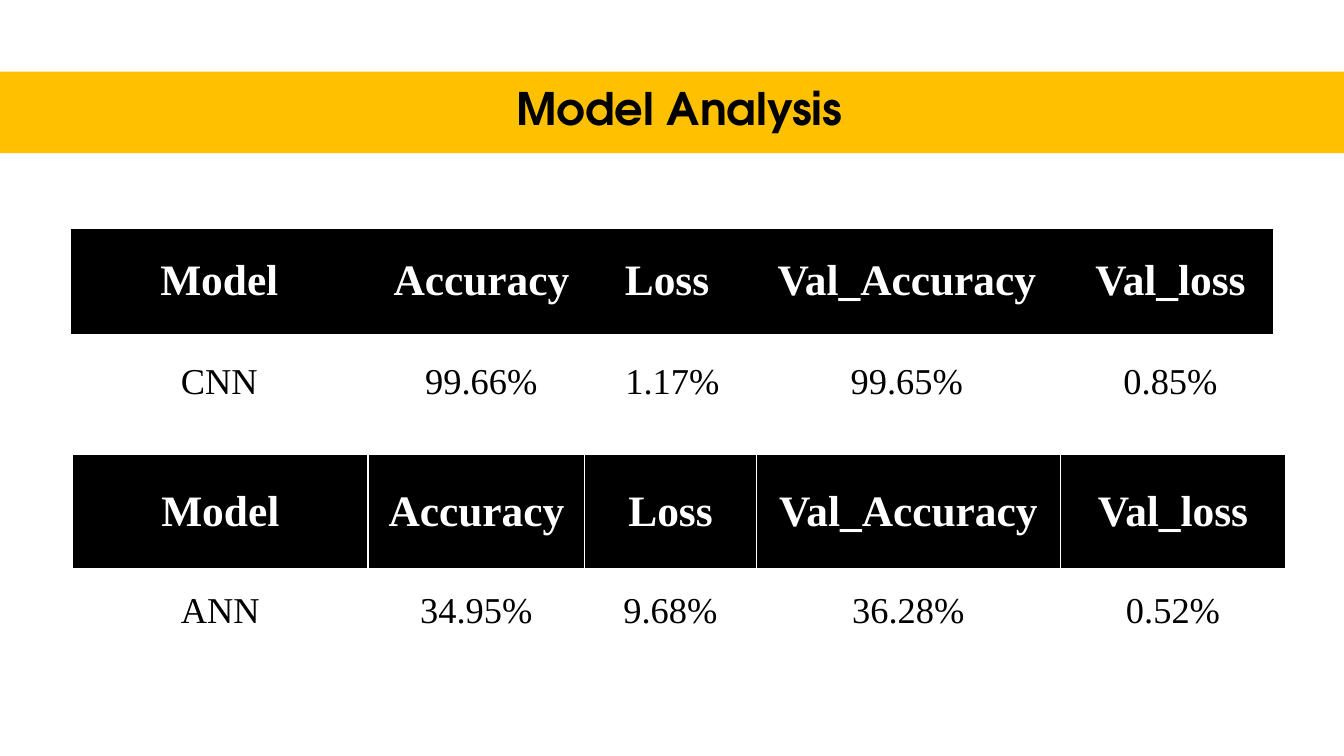
from lxml import etree
from pptx import Presentation
from pptx.dml.color import RGBColor
from pptx.enum.shapes import MSO_SHAPE
from pptx.enum.text import MSO_ANCHOR, PP_ALIGN
from pptx.oxml.ns import qn
from pptx.util import Inches, Pt

RECT = MSO_SHAPE.RECTANGLE
MIDDLE = MSO_ANCHOR.MIDDLE
CENTER = PP_ALIGN.CENTER

BLACK = RGBColor(0x00, 0x00, 0x00)
WHITE = RGBColor(0xFF, 0xFF, 0xFF)
AMBER = RGBColor(0xFF, 0xC0, 0x00)

TITLE_FONT = "TeX Gyre Adventor"
TABLE_FONT = "Times New Roman"
PLAIN_STYLE = "{2D5ABB26-0587-4C30-8999-92F81FD0307C}"  # no fill, no grid

TITLE = "Model Analysis"

# Insets are left, top, right, bottom, one tuple per row
TABLES = [
    {
        "rows": [
            ["Model", "Accuracy", "Loss ", "Val_Accuracy", "Val_loss"],
            ["CNN", "99.66%", "1.17%", "99.65%", "0.85%"],
        ],
        "origin": (0.7, 2.27),
        "widths": [2.91, 2.29, 1.5, 3.15, 2.08],
        "heights": [1.04, 1.19],
        "insets": [(0.15, 0.22, 0.11, 0.22), (0.15, 0, 0.11, 0.22)],
        "border": None,
    },
    {
        "rows": [
            ["Model", "Accuracy", "Loss", "Val_Accuracy", "Val_loss"],
            ["ANN", "34.95%", "9.68%", "36.28%", "0.52%"],
        ],
        "origin": (0.72, 4.51),
        "widths": [2.93, 2.15, 1.7, 3.02, 2.23],
        "heights": [1.13, 0.85],
        "insets": [(0.1, 0.05, 0.1, 0.05)] * 2,
        "border": WHITE,
    },
]


def add_borders(cell, color):
    tc_pr = cell._tc.get_or_add_tcPr()
    for side in ("L", "R", "T", "B"):
        ln = etree.SubElement(tc_pr, qn(f"a:ln{side}"), w=str(Pt(1)))
        fill = etree.SubElement(ln, qn("a:solidFill"))
        etree.SubElement(fill, qn("a:srgbClr"), val=str(color))


def format_cell(cell, text, is_header, insets, border):
    if border is not None:
        add_borders(cell, border)
    if is_header:
        cell.fill.solid()
        cell.fill.fore_color.rgb = BLACK
    else:
        cell.fill.background()
    cell.vertical_anchor = MIDDLE
    (cell.margin_left, cell.margin_top,
     cell.margin_right, cell.margin_bottom) = map(Inches, insets)
    cell.text = text
    p = cell.text_frame.paragraphs[0]
    p.alignment = CENTER
    p.font.name = TABLE_FONT
    p.font.size = Pt(31 if is_header else 26)
    p.font.bold = is_header
    p.font.color.rgb = WHITE if is_header else BLACK


def add_results_table(slide, rows, origin, widths, heights, insets, border):
    box = (*origin, sum(widths), sum(heights))
    frame = slide.shapes.add_table(len(rows), len(widths), *map(Inches, box))
    table = frame.table
    table._tbl.tblPr.find(qn("a:tableStyleId")).text = PLAIN_STYLE
    table.horz_banding = False
    for column, width in zip(table.columns, widths):
        column.width = Inches(width)
    for i, (row, height) in enumerate(zip(rows, heights)):
        table.rows[i].height = Inches(height)
        for j, text in enumerate(row):
            format_cell(table.cell(i, j), text, i == 0, insets[i], border)


def add_title(slide):
    """Title placeholder in front of a full-width band."""
    sp = slide.shapes.title
    sp.left, sp.top, sp.width, sp.height = map(Inches, (0.61, 0.7, 12.26, 0.81))
    tf = sp.text_frame
    tf.text = TITLE
    tf.vertical_anchor = MIDDLE
    p = tf.paragraphs[0]
    p.alignment = CENTER
    p.line_spacing = 0.9
    p.font.name = TITLE_FONT
    p.font.size = Pt(32)
    p.font.bold = True
    p.font.color.rgb = BLACK

    band = slide.shapes.add_shape(RECT, 0, Inches(0.71), prs.slide_width, Inches(0.81))
    band.shadow.inherit = False
    band.fill.solid()
    band.fill.fore_color.rgb = AMBER
    band.line.fill.background()
    sp._element.addprevious(band._element)


prs = Presentation()
prs.slide_width, prs.slide_height = Inches(13.33), Inches(7.5)
slide = prs.slides.add_slide(prs.slide_layouts[5])
add_title(slide)
for results in TABLES:
    add_results_table(slide, **results)
prs.save("out.pptx")
